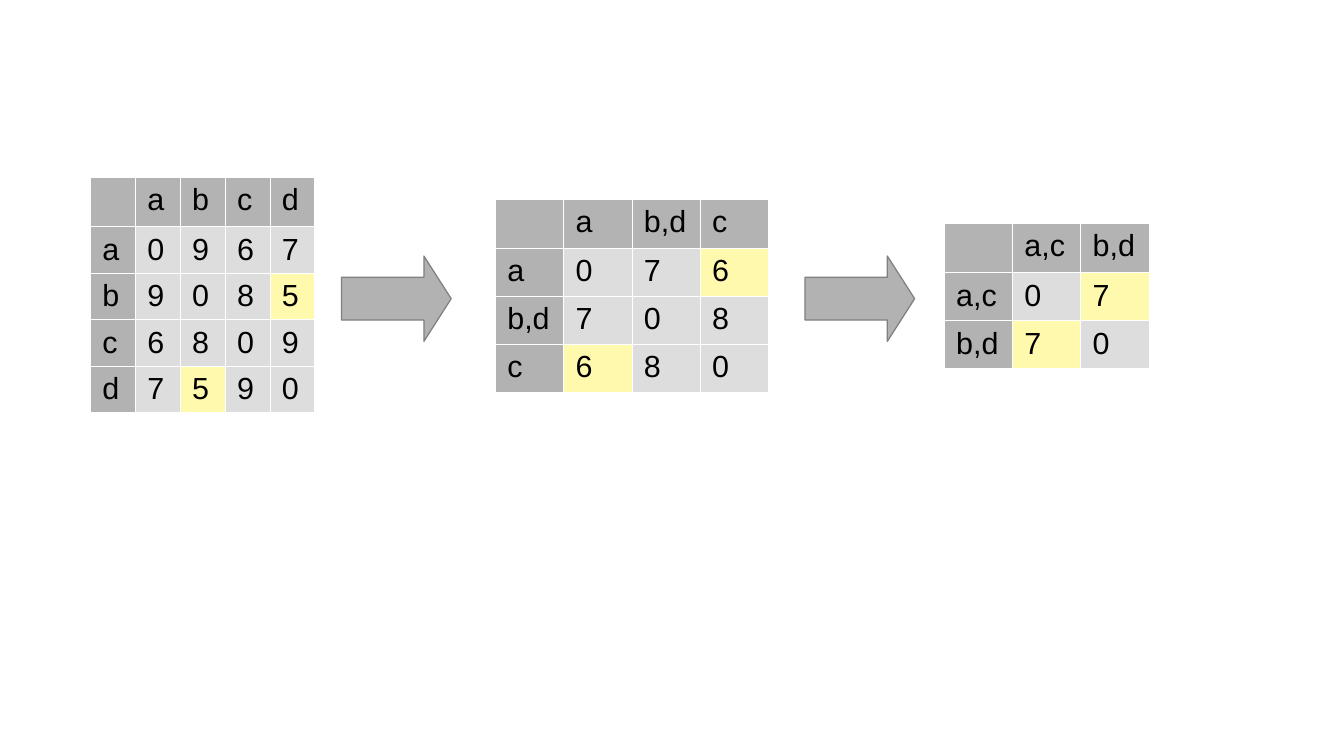
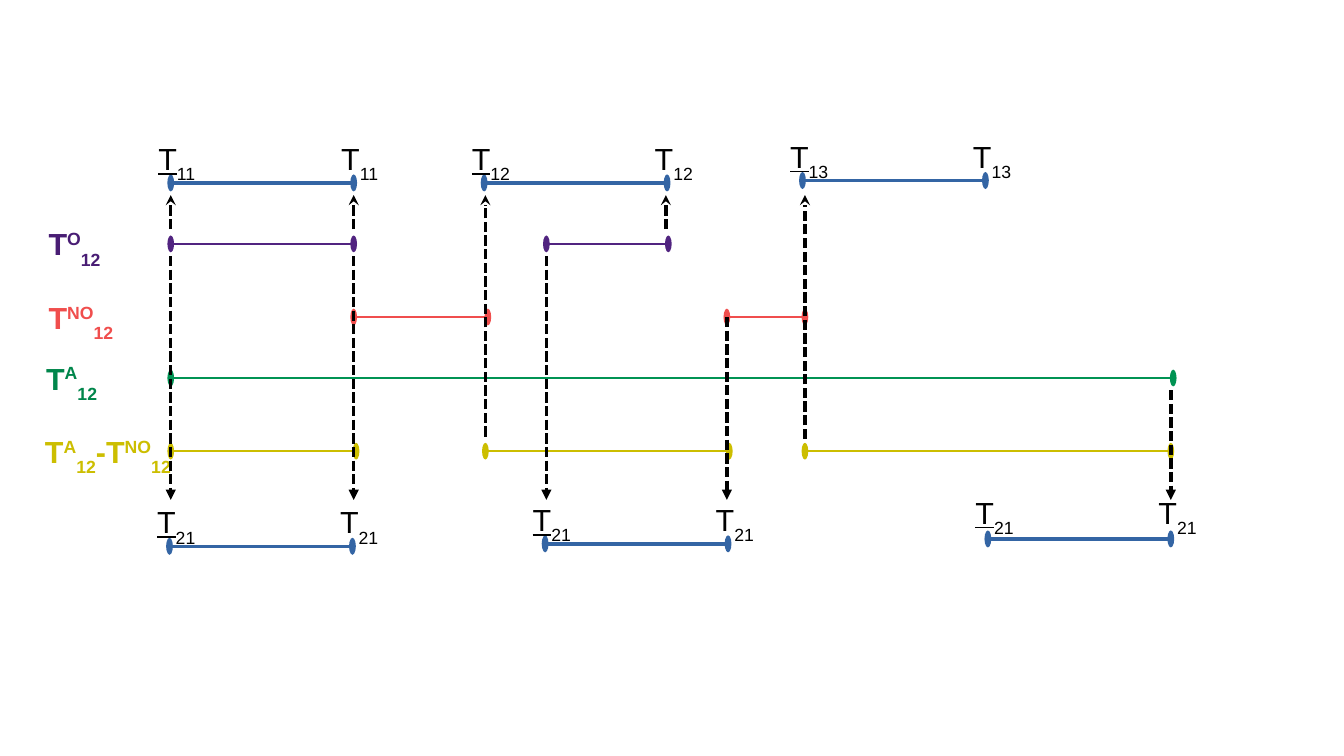
from dataclasses import dataclass

from pptx import Presentation
from pptx.dml.color import RGBColor
from pptx.enum.dml import MSO_LINE
from pptx.enum.shapes import MSO_CONNECTOR, MSO_SHAPE
from pptx.oxml.ns import qn
from pptx.oxml.xmlchemy import OxmlElement
from pptx.util import Inches, Pt

BLANK_LAYOUT = 6


@dataclass(frozen=True)
class Theme:
    font: str = "Arial"
    text_size: float = 18
    text: str = "000000"
    header: str = "B3B3B3"
    side: str = "B2B2B2"
    cell: str = "DDDDDD"
    nearest: str = "FFF9AE"
    border: str = "FFFFFF"
    border_width: float = 0.06
    arrow_edge: str = "808080"
    interval: str = "3465A4"
    overlap: str = "512480"
    overlap_text: str = "491D74"
    gap: str = "F04E4D"
    total: str = "009353"
    total_text: str = "00864B"
    difference: str = "CCBE00"
    hairline: float = 0
    bar_width: float = 1.5


def rgb(value):
    return RGBColor.from_string(value)


def add_element(parent, tag, **attributes):
    element = OxmlElement(tag)
    for name, value in attributes.items():
        element.set(name, str(value))
    parent.append(element)
    return element


class Canvas:
    """Draws on the current slide; every length counts grid steps of 0.1 inch."""

    step = Inches(0.1)

    def __init__(self, deck, theme):
        self.deck = deck
        self.theme = theme
        self.page = None

    def new_page(self):
        layout = self.deck.slide_layouts[BLANK_LAYOUT]
        self.page = self.deck.slides.add_slide(layout)

    def grid(self, *counts):
        return [round(count * self.step) for count in counts]

    def span(self, para, text, color, baseline=0, bold=False, underline=False):
        span = para.add_run()
        span.text = text
        font = span.font
        font.name = self.theme.font
        font.size = Pt(self.theme.text_size)
        font.color.rgb = rgb(color)
        font.bold = bold
        font.underline = underline
        if baseline:
            span._r.get_or_add_rPr().set("baseline", str(baseline * 1000))

    def label(self, left, top, width, spans, color, bold=False, underline=False):
        """Write (text, baseline percent) spans; only the first is underlined."""
        box = self.page.shapes.add_textbox(*self.grid(left, top, width, 4.4))
        box.text_frame.word_wrap = True
        para = box.text_frame.paragraphs[0]
        for index, (text, baseline) in enumerate(spans):
            self.span(para, text, color, baseline, bold, underline and index == 0)

    def line(self, start, end, color, width):
        connector = self.page.shapes.add_connector(
            MSO_CONNECTOR.STRAIGHT, *self.grid(*start, *end))
        connector.line.color.rgb = rgb(color)
        connector.line.width = Pt(width)
        add_element(connector._element.spPr, "a:effectLst")
        return connector

    def bar(self, left, right, row, color, width):
        """Draw a horizontal line with a tall oval at both ends."""
        bar = self.line((left, row), (right, row), color, width)
        for tag in ("a:headEnd", "a:tailEnd"):
            add_element(bar.line._get_or_add_ln(), tag, type="oval", w="lg", len="sm")

    def guide(self, column, start, end, head):
        """Draw a dashed vertical line with an arrowhead at its end."""
        guide = self.line((column, start), (column, end),
                          self.theme.text, self.theme.hairline)
        guide.line.dash_style = MSO_LINE.SQUARE_DOT
        add_element(guide.line._get_or_add_ln(), "a:tailEnd", type=head)

    def interval(self, left, row, index, lift=4):
        """Draw a bar whose lower bound is underlined and upper bound is plain."""
        length = 15
        self.bar(left, left + length, row, self.theme.interval, self.theme.hairline)
        for column, lower in ((left, True), (left + length, False)):
            self.label(column - 2, row - lift, 7, [("T", 0), (index, -33)],
                       self.theme.text, underline=lower)

    def block_arrow(self, left, top, width, height):
        arrow = self.page.shapes.add_shape(
            MSO_SHAPE.RIGHT_ARROW, *self.grid(left, top, width, height))
        arrow.adjustments[0] = 0.5
        arrow.adjustments[1] = 0.32
        arrow.shadow.inherit = False
        arrow.fill.solid()
        arrow.fill.fore_color.rgb = rgb(self.theme.side)
        arrow.line.color.rgb = rgb(self.theme.arrow_edge)
        arrow.line.width = Pt(self.theme.hairline)

    def paint_cell(self, cell, text, fill):
        properties = cell._tc.get_or_add_tcPr()
        for side in "LRTB":
            border = add_element(properties, f"a:ln{side}",
                                 w=Pt(self.theme.border_width))
            paint = add_element(border, "a:solidFill")
            add_element(paint, "a:srgbClr", val=self.theme.border)
        cell.fill.solid()
        cell.fill.fore_color.rgb = rgb(fill)
        if text:
            self.span(cell.text_frame.paragraphs[0], text, self.theme.text)

    def distance_table(self, left, top, column, row, names, distances):
        """Draw a symmetric matrix with its smallest nonzero distance marked."""
        count = len(names) + 1
        frame = self.page.shapes.add_table(
            count, count, *self.grid(left, top, column * count, row * count))
        table = frame.table
        table.first_row = table.horz_banding = False
        nearest = min(value for line in distances for value in line if value)
        for index, name in enumerate(["", *names]):
            self.paint_cell(table.cell(0, index), name, self.theme.header)
        for y, (name, line) in enumerate(zip(names, distances), 1):
            self.paint_cell(table.cell(y, 0), name, self.theme.side)
            for x, value in enumerate(line, 1):
                fill = self.theme.nearest if value == nearest else self.theme.cell
                self.paint_cell(table.cell(y, x), str(value), fill)


def draw_clustering(canvas):
    canvas.new_page()
    canvas.distance_table(7.4, 14.5, 3.68, 3.82, ["a", "b", "c", "d"], [
        [0, 9, 6, 7], [9, 0, 8, 5], [6, 8, 0, 9], [7, 5, 9, 0]])
    canvas.distance_table(40.6, 16.3, 5.6, 3.93, ["a", "b,d", "c"], [
        [0, 7, 6], [7, 0, 8], [6, 8, 0]])
    canvas.distance_table(77.4, 18.3, 5.6, 3.93, ["a,c", "b,d"], [[0, 7], [7, 0]])
    for left in (28, 66):
        canvas.block_arrow(left, 21, 9, 7)


def draw_timeline(canvas):
    theme = canvas.theme
    canvas.new_page()
    for left, row, index in ((14, 15, "11"), (39.7, 15, "12"), (65.8, 14.8, "13"),
                             (13.9, 44.8, "21"), (44.7, 44.6, "21")):
        canvas.interval(left, row, index)
    canvas.interval(81, 44.2, "21", lift=4.2)

    def term(symbol, kind):
        return [(symbol, 0), (kind, 33), ("12", -33)]

    tracks = (
        (20, 3, term("T", "O"), theme.overlap_text, theme.overlap,
         [(14, 29), (44.8, 54.8)]),
        (26, 3, term("T", "NO"), theme.gap, theme.gap, [(29, 40), (59.6, 66)]),
        (31, 2.8, term("T", "A"), theme.total_text, theme.total, [(14, 96.2)]),
        (37, 2.7, term("T", "A") + term("-T", "NO"), theme.difference,
         theme.difference, [(14, 29.2), (39.8, 59.8), (66, 96)]),
    )
    for row, left, spans, text_color, color, bars in tracks:
        canvas.label(left, row - 2, 13.3, spans, text_color, bold=True)
        for start, end in bars:
            canvas.bar(start, end, row, color, theme.bar_width)

    for column, start in ((14, 18.8), (29, 18.8), (39.8, 35.8), (54.6, 18.8), (66, 36)):
        canvas.guide(column, start, 16, "stealth")
    for column, start in ((14, 21), (29, 21), (44.8, 21), (59.6, 26), (96, 32)):
        canvas.guide(column, start, 41, "triangle")


def main():
    deck = Presentation()
    deck.slide_width = Inches(11.02)
    deck.slide_height = Inches(6.2)
    canvas = Canvas(deck, Theme())
    draw_clustering(canvas)
    draw_timeline(canvas)
    deck.save("out.pptx")


if __name__ == "__main__":
    main()
